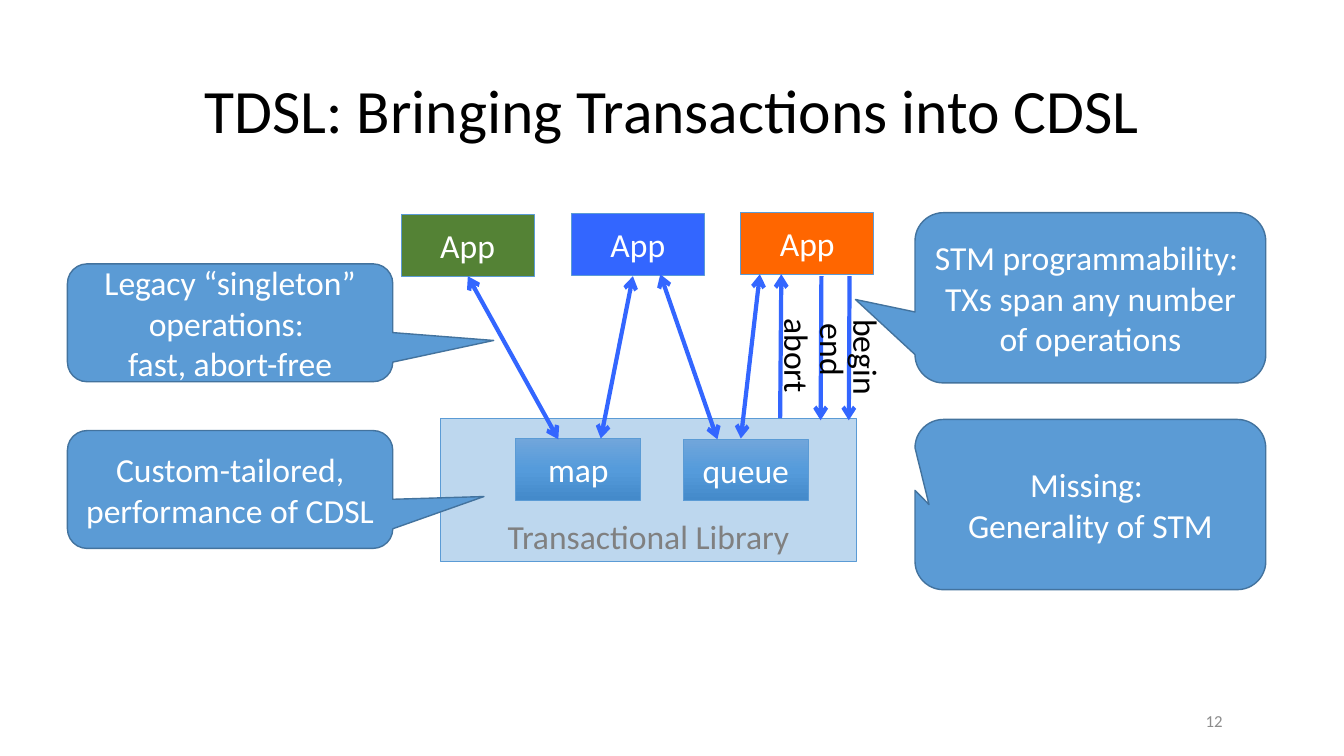
from copy import deepcopy

from lxml import etree
from pptx import Presentation
from pptx.dml.color import RGBColor
from pptx.enum.shapes import MSO_CONNECTOR as Connector, MSO_SHAPE as Shape
from pptx.enum.text import MSO_ANCHOR as Anchor, PP_ALIGN as Align
from pptx.oxml import parse_xml
from pptx.oxml.ns import nsdecls, qn
from pptx.util import Cm, Pt

FONT = "Calibri"
WHITE, BLACK, GRAY = "FFFFFF", "000000", "808080"
BLUE, OUTLINE, ARROW = "5B9BD5", "43739E", "3366FF"
STRUCTURE_STOPS = [(0, "71A6DB"), (0.5, "559BDB"), (1, "448ACA")]
APP_SIZE = (3.35, 1.55)
STRUCTURE_SIZE = (3.15, 1.55)
LEFT_CALLOUT = (8.2, 2.97)
RIGHT_CALLOUT = (8.84, 4.29)


def rgb(color):
    return RGBColor.from_string(color)


def write(shape, text, color, size=24, anchor=Anchor.MIDDLE):
    frame = shape.text_frame
    frame.text = text
    frame.word_wrap = True
    frame.vertical_anchor = anchor
    for paragraph in frame.paragraphs:
        paragraph.alignment = Align.CENTER
        for run in paragraph.runs:
            run.font.name = FONT
            run.font.size = Pt(size)
            run.font.color.rgb = rgb(color)


def add_box(slide, kind, position, size, text, fill=None, line=BLUE, line_width=0.5,
            color=WHITE, anchor=Anchor.MIDDLE):
    shape = slide.shapes.add_shape(kind, *map(Cm, position + size))
    shape.shadow.inherit = False
    if fill:
        shape.fill.solid()
        shape.fill.fore_color.rgb = rgb(fill)
    shape.line.color.rgb = rgb(line)
    shape.line.width = Pt(line_width)
    write(shape, text, color, anchor=anchor)
    return shape


def add_structure(slide, position, text):
    """Add a data structure box with a vertical three-stop gradient."""
    shape = add_box(slide, Shape.RECTANGLE, position, STRUCTURE_SIZE, text)
    shape.fill.gradient()
    first_stop = shape._element.spPr.find(".//" + qn("a:gs"))
    first_stop.addnext(deepcopy(first_stop))
    for stop, (place, color) in zip(shape.fill.gradient_stops, STRUCTURE_STOPS):
        stop.position = place
        stop.color.rgb = rgb(color)
    shape.fill.gradient_angle = 270


def add_callout(slide, position, size, pointer, text):
    shape = add_box(slide, Shape.ROUNDED_RECTANGULAR_CALLOUT, position, size, text,
                    BLUE, OUTLINE, 1)
    shape.adjustments[0], shape.adjustments[1] = pointer


def add_arrow(slide, start, end, arrowheads):
    connector = slide.shapes.add_connector(Connector.STRAIGHT, *map(Cm, start + end))
    connector.line.color.rgb = rgb(ARROW)
    connector.line.width = Pt(3)
    line = connector.line._get_or_add_ln()
    for arrowhead in arrowheads:
        etree.SubElement(line, qn(f"a:{arrowhead}"), type="arrow")
    etree.SubElement(connector._element.spPr, qn("a:effectLst"))


def add_vertical_label(slide, position, width, text):
    box = slide.shapes.add_textbox(*map(Cm, position + (width, 1.27)))
    box.rotation = 90
    write(box, text, BLACK, anchor=Anchor.TOP)


def add_slide_number(slide, number):
    box = slide.shapes.add_textbox(Cm(23.44), Cm(17.65), Cm(7.62), Cm(1.02))
    box.text_frame.word_wrap = True
    box.text_frame.vertical_anchor = Anchor.MIDDLE
    paragraph = box.text_frame.paragraphs[0]
    paragraph.alignment = Align.RIGHT
    paragraph._p.append(parse_xml(
        f'<a:fld {nsdecls("a")} id="{{B6F15528-21DE-4FAA-801E-634DDDAF4B2B}}" type="slidenum">'
        f'<a:rPr lang="en-US" sz="1200"><a:solidFill><a:srgbClr val="8C8C8C"/></a:solidFill>'
        f'<a:latin typeface="{FONT}"/></a:rPr><a:t>{number}</a:t></a:fld>'))


def add_title(slide, text):
    title = slide.shapes.title
    title.left, title.top, title.width, title.height = map(Cm, (2.34, 1.02, 29.21, 3.68))
    write(title, text, BLACK, 44)
    title.text_frame.paragraphs[0].line_spacing = 0.9


def main():
    presentation = Presentation()
    presentation.slide_width, presentation.slide_height = Cm(33.87), Cm(19.05)
    slide = presentation.slides.add_slide(presentation.slide_layouts[5])
    add_title(slide, "TDSL: Bringing Transactions into CDSL")
    # The first slide shown carries number 12
    presentation.element.set("firstSlideNum", "12")
    add_slide_number(slide, 12)

    add_box(slide, Shape.RECTANGLE, (11.1, 10.54), (10.49, 3.61), "Transactional Library",
            "BDD7EE", color=GRAY, anchor=Anchor.BOTTOM)
    add_structure(slide, (17.22, 11.07), "queue")
    add_structure(slide, (13, 11.05), "map")

    for position, fill in [((10.11, 5.41), "548235"), ((14.4, 5.38), "3366FF"),
                           ((18.67, 5.36), "FF6600")]:
        add_box(slide, Shape.RECTANGLE, position, APP_SIZE, "App", fill)

    both = ("headEnd", "tailEnd")
    for start, end, arrowheads in [
        ((11.79, 6.96), (14.07, 11.07), both),
        ((15.95, 6.96), (15.14, 11.05), both),
        ((16.64, 6.91), (18.08, 11.07), both),
        ((19.15, 6.91), (18.67, 11.05), both),
        ((21.41, 6.96), (21.39, 10.59), ("tailEnd",)),
        ((20.7, 6.96), (20.68, 10.59), ("tailEnd",)),
        ((19.69, 6.91), (19.66, 10.54), ("headEnd",)),
    ]:
        add_arrow(slide, start, end, arrowheads)

    add_vertical_label(slide, (20.57, 8.36), 2.54, "begin")
    add_vertical_label(slide, (19.99, 8.18), 2.03, "end")
    add_vertical_label(slide, (18.82, 8.33), 2.57, "abort")

    for position, size, pointer, text in [
        ((23.06, 5.36), RIGHT_CALLOUT, (-0.67, 0.01),
         "STM programmability: \vTXs span any number of operations"),
        ((1.7, 10.85), LEFT_CALLOUT, (0.78, 0.06), "Custom-tailored, performance of CDSL"),
        ((1.7, 6.65), LEFT_CALLOUT, (0.81, 0.15),
         "Legacy “singleton” operations: \vfast, abort-free"),
        ((23.06, 10.57), RIGHT_CALLOUT, (-0.46, 0), "Missing: \vGenerality of STM"),
    ]:
        add_callout(slide, position, size, pointer, text)

    presentation.save("out.pptx")


if __name__ == "__main__":
    main()
